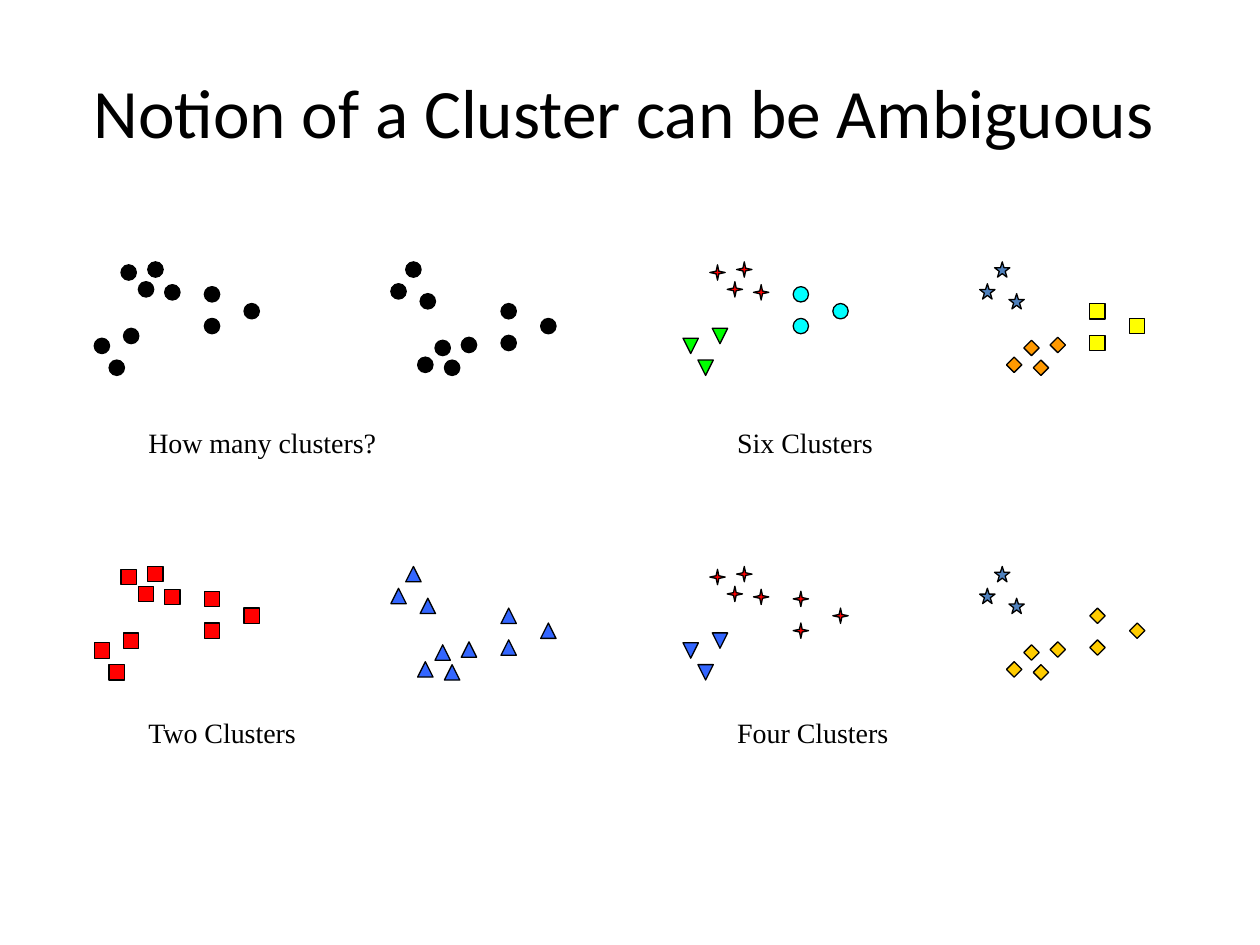
import pptx
import pptx.util
import pptx.dml.color
import pptx.enum.shapes
import pptx.enum.text

Cm, Pt = pptx.util.Cm, pptx.util.Pt
MSO = pptx.enum.shapes.MSO_SHAPE

# Content: offsets in cm from a panel's corner, for the left half of its points
TOP = [(1.42, 0.46), (0.54, 0.06), (1.08, 0), (0.89, 0.4)]
LOW = [(0.59, 1.34), (0, 1.54), (0.3, 1.98)]
SIDE = [(2.22, 0.5), (3.02, 0.84), (2.22, 1.14)]
HALF = [TOP, LOW, SIDE]

# Markers: preset, fill
DOT = (MSO.OVAL, "000000")
SQUARE = (MSO.RECTANGLE, "FF0000")
TRIANGLE = (MSO.ISOSCELES_TRIANGLE, "3366FF")
CROSS = (MSO.STAR_4_POINT, "FF0000")
STAR = (MSO.STAR_5_POINT, "4F81BD")
GOLD = (MSO.DIAMOND, "FFCC00")

# Panels: caption, column, row, markers of the left half, of the right half
PANELS = [
    ("How many clusters?", 0, 0, [DOT] * 3, [DOT] * 3),
    ("Four Clusters", 1, 1,
     [CROSS, (MSO.FLOWCHART_EXTRACT, "3366FF"), CROSS], [GOLD, STAR, GOLD]),
    ("Two Clusters", 0, 1, [SQUARE] * 3, [TRIANGLE] * 3),
    ("Six Clusters", 1, 0,
     [CROSS, (MSO.ISOSCELES_TRIANGLE, "00FF00"), (MSO.OVAL, "00FFFF")],
     [(MSO.DIAMOND, "FF9900"), STAR, (MSO.RECTANGLE, "FFFF00")]),
]

# Geometry in cm
LEFT, TOP_EDGE = 1.9, 5.28
COL_STEP, ROW_STEP = 11.87, 6.14
MARK = 0.31
HALF_STEP, HALF_HEIGHT = 5.98, 1.98
CAPTION_DX, CAPTION_TOPS = 0.84, [8.46, 14.3]


def rgb(value):
    return pptx.dml.color.RGBColor.from_string(value)


def style_text(tf, font, size):
    f = tf.paragraphs[0].runs[0].font
    f.name, f.size = font, Pt(size)
    f.color.rgb = rgb("000000")


def add_marker(group, marker, x, y, flipped):
    preset, fill = marker
    sp = group.shapes.add_shape(preset, Cm(x), Cm(y), Cm(MARK), Cm(MARK))
    sp.shadow.inherit = False
    sp.fill.solid()
    sp.fill.fore_color.rgb = rgb(fill)
    sp.line.color.rgb = rgb("000000")
    sp.line.width = Pt(0.75)
    if flipped:
        sp._element.spPr.xfrm.set("flipV", "1")


def add_panel(s, caption, col, row, left_marks, right_marks):
    x0, y0 = LEFT + col * COL_STEP, TOP_EDGE + row * ROW_STEP
    group = s.shapes.add_group_shape()
    # The right half is the left half shifted and turned upside down
    for marker, cluster in zip(right_marks, HALF):
        for dx, dy in cluster:
            add_marker(group, marker, x0 + HALF_STEP + dx,
                       y0 + HALF_HEIGHT - dy, False)
    for marker, cluster in zip(left_marks, HALF):
        for dx, dy in cluster:
            add_marker(group, marker, x0 + dx, y0 + dy, True)
    # Caption
    box = group.shapes.add_textbox(Cm(x0 + CAPTION_DX), Cm(CAPTION_TOPS[row]),
                                   Cm(6.35), Cm(0.94))
    tf = box.text_frame
    tf.word_wrap = True
    tf.auto_size = pptx.enum.text.MSO_AUTO_SIZE.SHAPE_TO_FIT_TEXT
    tf.text = caption
    style_text(tf, "Times New Roman", 16)


def main():
    prs = pptx.Presentation()
    prs.slide_width, prs.slide_height = Cm(25.4), Cm(19.05)
    s = prs.slides.add_slide(prs.slide_layouts[5])

    # Title
    title = s.shapes.title
    title.left, title.top = Cm(1.07), Cm(1.47)
    title.width, title.height = Cm(23.01), Cm(1.52)
    tf = title.text_frame
    tf.text = "Notion of a Cluster can be Ambiguous"
    tf.auto_size = pptx.enum.text.MSO_AUTO_SIZE.NONE
    tf.vertical_anchor = pptx.enum.text.MSO_ANCHOR.MIDDLE
    tf.paragraphs[0].alignment = pptx.enum.text.PP_ALIGN.CENTER
    style_text(tf, "Calibri", 39.6)

    # Panels
    for panel in PANELS:
        add_panel(s, *panel)

    prs.save("out.pptx")


if __name__ == "__main__":
    main()
